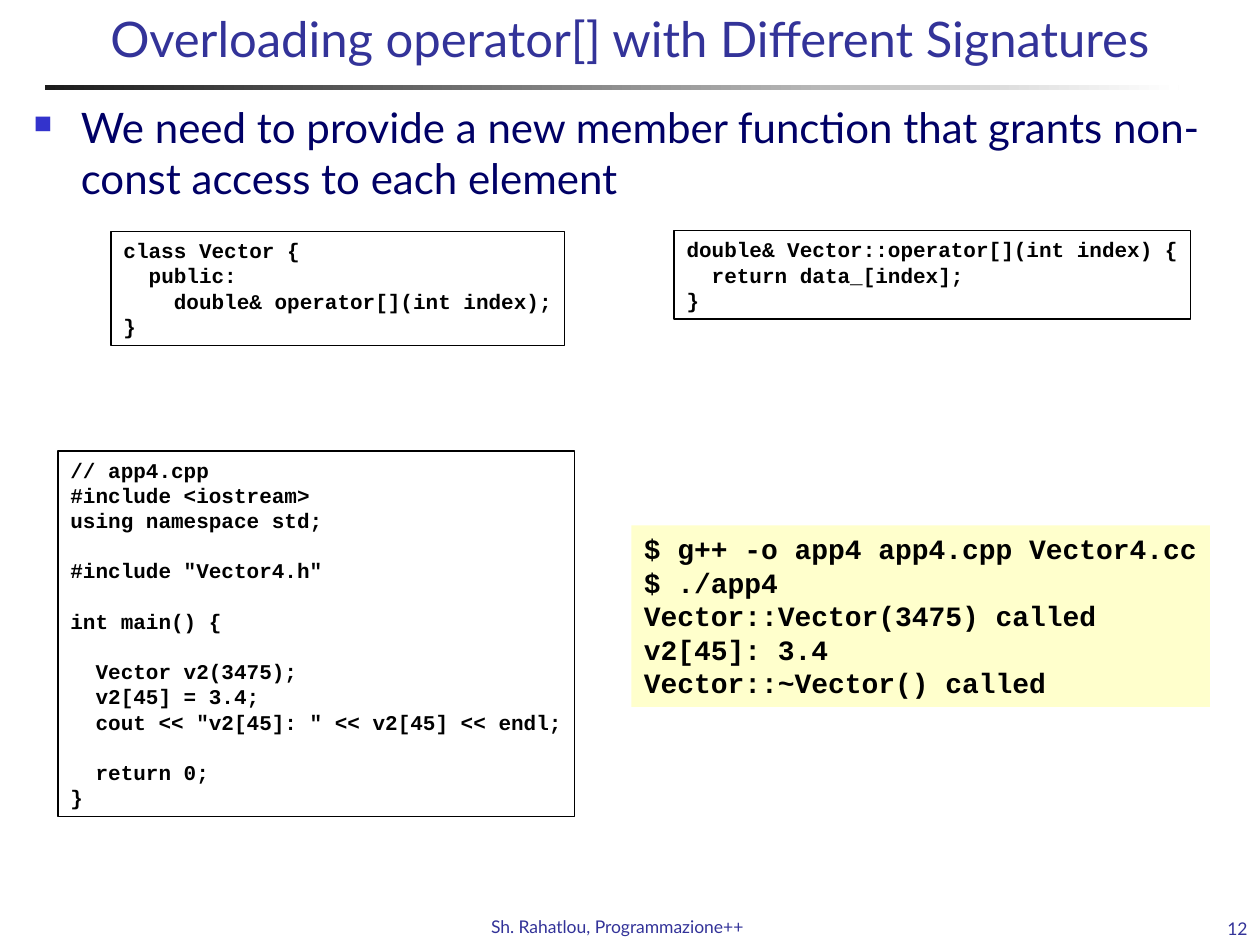
"""Build the slide on overloading operator[] with different signatures."""
from dataclasses import dataclass

from lxml.etree import SubElement
from pptx import Presentation
from pptx.dml.color import RGBColor as RGB
from pptx.enum.shapes import MSO_SHAPE as SHAPE
from pptx.enum.text import MSO_ANCHOR as ANCHOR, PP_ALIGN as ALIGN
from pptx.oxml.ns import qn
from pptx.util import Cm, Pt


@dataclass(frozen=True)
class Theme:
    sans: str = "Lato"
    mono: str = "Courier New"
    heading: RGB = RGB(0x33, 0x33, 0x99)
    body: RGB = RGB(0x00, 0x00, 0x66)
    bullet: str = "3333CC"
    ink: RGB = RGB(0, 0, 0)
    rule_start: RGB = RGB(0x1C, 0x1C, 0x1C)
    rule_end: RGB = RGB(0xFF, 0xFF, 0xFF)
    output: RGB = RGB(0xFF, 0xFF, 0xCC)
    title_size: int = 28
    body_size: int = 24
    output_size: int = 16
    code_size: int = 12
    footer_size: int = 10
    line_factor: float = 1.2
    char_factor: float = 0.6


T = Theme()

DECLARATION = """class Vector {
  public:
    double& operator[](int index);
}"""

DEFINITION = """double& Vector::operator[](int index) {
  return data_[index];
}"""

APPLICATION = """// app4.cpp
#include <iostream>
using namespace std;

#include "Vector4.h"

int main() {

  Vector v2(3475);
  v2[45] = 3.4;
  cout << "v2[45]: " << v2[45] << endl;

  return 0;
}"""

OUTPUT = """$ g++ -o app4 app4.cpp Vector4.cc
$ ./app4
Vector::Vector(3475) called
v2[45]: 3.4
Vector::~Vector() called"""


def set_all(obj, formats):
    for name, value in formats.items():
        setattr(obj, name, value)


def add_run(p, text, color, **font):
    r = p.add_run()
    r.text = text
    set_all(r.font, font)
    r.font.color.rgb = color


def add_label(s, box, text, size, color=T.heading, align=ALIGN.LEFT, **frame):
    tf = s.shapes.add_textbox(*map(Cm, box)).text_frame
    set_all(tf, {"word_wrap": True, "vertical_anchor": ANCHOR.TOP, **frame})
    p = tf.paragraphs[0]
    p.alignment = align
    add_run(p, text, color, name=T.sans, size=Pt(size))
    return p


def add_bullet(p, indent):
    p.space_before = Pt(6)
    pPr = p._p.get_or_add_pPr()
    pPr.set("marL", str(indent))
    pPr.set("indent", str(-indent))
    color = SubElement(pPr, qn("a:buClr"))
    SubElement(color, qn("a:srgbClr"), val=T.bullet)
    SubElement(pPr, qn("a:buSzPct"), val="60000")
    SubElement(pPr, qn("a:buChar"), char="■")


def add_rect(s, box):
    sp = s.shapes.add_shape(SHAPE.RECTANGLE, *map(Cm, box))
    sp.shadow.inherit = False
    return sp


def add_rule(s, box):
    sp = add_rect(s, box)
    sp.line.fill.background()
    sp.fill.gradient()
    sp.fill.gradient_angle = 0
    for stop, color in zip(sp.fill.gradient_stops, (T.rule_start, T.rule_end)):
        stop.color.rgb = color


def add_code(s, box, code, size=T.code_size, fill=None):
    sp = add_rect(s, box)
    if fill:
        sp.fill.solid()
        sp.fill.fore_color.rgb = fill
        sp.line.fill.background()
    else:
        sp.fill.background()
        sp.line.color.rgb = T.ink
        sp.line.width = Pt(0.75)
    tf = sp.text_frame
    set_all(tf, {"word_wrap": False, "vertical_anchor": ANCHOR.TOP})
    pitch = Pt(size * T.line_factor)
    p, gap = tf.paragraphs[0], 0
    for number, line in enumerate(code.splitlines()):
        text = line.lstrip()
        if not text:
            gap += pitch
            continue
        p = tf.add_paragraph() if number else p
        set_all(p, {"alignment": ALIGN.LEFT, "line_spacing": pitch, "space_before": gap})
        indent = Pt((len(line) - len(text)) * size * T.char_factor)
        p._p.get_or_add_pPr().set("marL", str(indent))
        add_run(p, text, T.ink, name=T.mono, size=Pt(size), bold=True)
        gap = 0


def main():
    prs = Presentation()
    set_all(prs, {"slide_width": Cm(25.4), "slide_height": Cm(19.05)})
    s = prs.slides.add_slide(prs.slide_layouts[6])
    add_rule(s, (0.9, 1.72, 22.86, 0.09))
    add_label(s, (9.65, 18.34, 6.02, 0.69), "Sh. Rahatlou, Programmazione++",
              T.footer_size, word_wrap=False)
    add_label(s, (22.66, 18.42, 2.74, 0.63), "12", T.footer_size,
              align=ALIGN.RIGHT, vertical_anchor=ANCHOR.BOTTOM)
    add_label(s, (1.48, 0.05, 22.43, 1.7),
              "Overloading operator[] with Different Signatures",
              T.title_size, align=ALIGN.CENTER)
    p = add_label(s, (0.43, 1.93, 24.46, 16.26),
                  "We need to provide a new member function that grants "
                  "non-const access to each element", T.body_size, T.body)
    add_bullet(p, Cm(0.95))
    add_code(s, (2.24, 4.67, 9.14, 2.29), DECLARATION)
    add_code(s, (13.59, 4.65, 10.41, 1.78), DEFINITION)
    add_code(s, (12.73, 10.59, 11.66, 3.66), OUTPUT, T.output_size, T.output)
    add_code(s, (1.17, 9.09, 10.41, 7.37), APPLICATION)
    prs.save("out.pptx")


if __name__ == "__main__":
    main()
